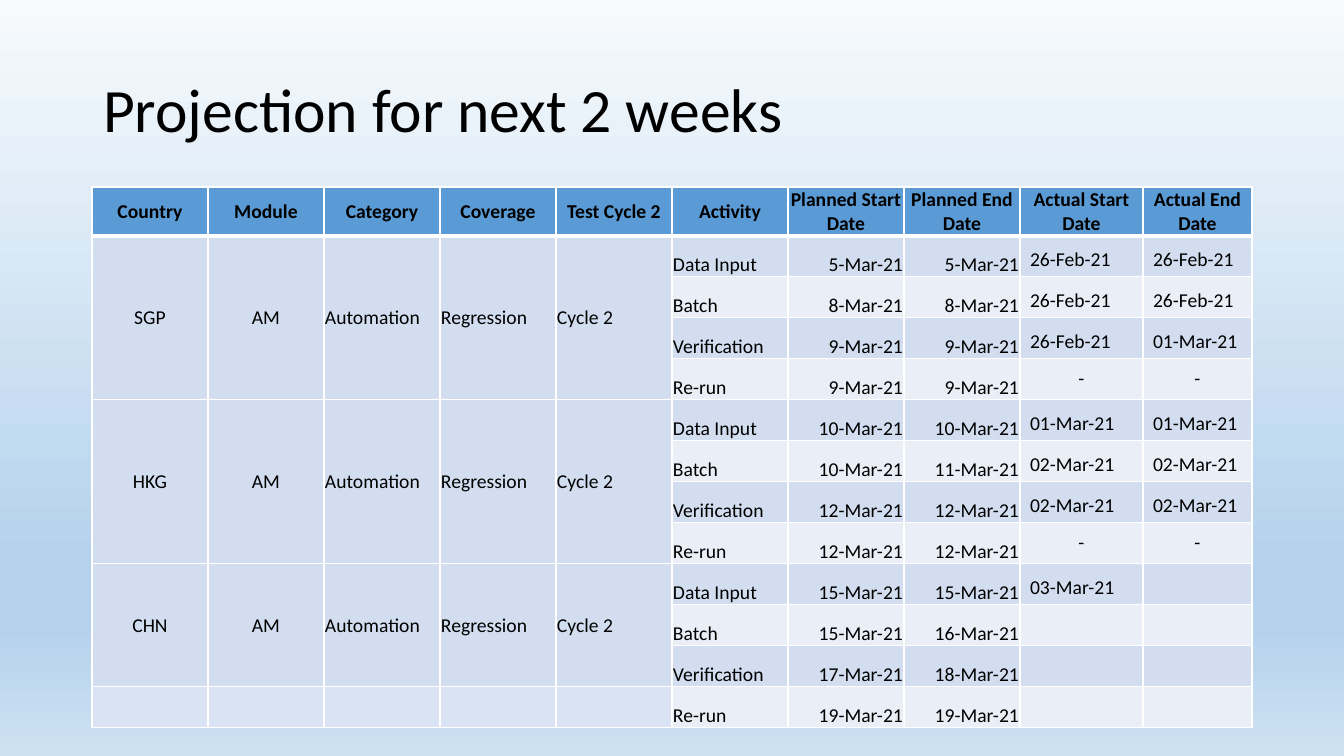
from lxml import etree
from pptx import Presentation
from pptx.dml.color import RGBColor
from pptx.enum.text import MSO_ANCHOR as ANCHOR, PP_ALIGN as ALIGN
from pptx.oxml.ns import qn
from pptx.util import Pt

PX = 9071.43  # EMU per px
BLACK = RGBColor(0x00, 0x00, 0x00)
WHITE = RGBColor(0xFF, 0xFF, 0xFF)
HEADER = RGBColor(0x5B, 0x9B, 0xD5)
BAND_DARK = RGBColor(0xD2, 0xDE, 0xEF)
BAND_LIGHT = RGBColor(0xEA, 0xEF, 0xF7)
LAST_ROW = RGBColor(0xDA, 0xE3, 0xF3)
SKY = [(0, RGBColor(0xF7, 0xFA, 0xFD)), (74, RGBColor(0xB5, 0xD2, 0xEC)),
       (83, RGBColor(0xB5, 0xD2, 0xEC)), (100, RGBColor(0xCE, 0xE1, 0xF2))]

HEADINGS = ["Country", "Module", "Category", "Coverage", "Test Cycle 2", "Activity",
            "Planned Start Date", "Planned End Date", "Actual Start Date", "Actual End Date"]
COUNTRIES = [("SGP", 1, 4), ("HKG", 5, 8), ("CHN", 9, 11)]  # name, first row, last row
ACTIVITIES = ["Data Input", "Batch", "Verification", "Re-run"]
DATES = [
    ("5-Mar-21", "5-Mar-21", "26-Feb-21", "26-Feb-21"),
    ("8-Mar-21", "8-Mar-21", "26-Feb-21", "26-Feb-21"),
    ("9-Mar-21", "9-Mar-21", "26-Feb-21", "01-Mar-21"),
    ("9-Mar-21", "9-Mar-21", "-", "-"),
    ("10-Mar-21", "10-Mar-21", "01-Mar-21", "01-Mar-21"),
    ("10-Mar-21", "11-Mar-21", "02-Mar-21", "02-Mar-21"),
    ("12-Mar-21", "12-Mar-21", "02-Mar-21", "02-Mar-21"),
    ("12-Mar-21", "12-Mar-21", "-", "-"),
    ("15-Mar-21", "15-Mar-21", "03-Mar-21", ""),
    ("15-Mar-21", "16-Mar-21", "", ""),
    ("17-Mar-21", "18-Mar-21", "", ""),
    ("19-Mar-21", "19-Mar-21", "", ""),
]


def px(n):
    return round(n * PX)


def write(cell, text, align=ALIGN.LEFT, anchor=ANCHOR.MIDDLE, bold=False, tight=True):
    cell.vertical_anchor = anchor
    if tight:
        cell.margin_left = cell.margin_right = cell.margin_top = px(1)
        cell.margin_bottom = 0
    p = cell.text_frame.paragraphs[0]
    p.alignment = align
    r = p.add_run()
    r.text = text
    r.font.name = "Calibri"
    r.font.size = Pt(14)
    r.font.bold = bold
    r.font.color.rgb = BLACK


prs = Presentation()
prs.slide_width, prs.slide_height = px(1344), px(756)
s = prs.slides.add_slide(prs.slide_layouts[5])

# Background gradient
fill = s.background.fill
fill.gradient()
fill.gradient_angle = 270
stops = next(s.background._cSld.iter(qn("a:gsLst")))
for gs in list(stops):
    stops.remove(gs)
for pos, color in SKY:
    gs = etree.SubElement(stops, qn("a:gs"), pos=str(pos * 1000))
    etree.SubElement(gs, qn("a:srgbClr"), val=str(color))

# Title
title = s.shapes.title
title.left, title.top, title.width, title.height = px(93), px(40), px(1159), px(146)
tf = title.text_frame
tf.vertical_anchor = ANCHOR.MIDDLE
p = tf.paragraphs[0]
p.alignment = ALIGN.LEFT
p.line_spacing = 0.9
r = p.add_run()
r.text = "Projection for next 2 weeks"
r.font.name = "Calibri"
r.font.size = Pt(44)
r.font.color.rgb = BLACK

# Table grid
widths = [116] * 8 + [123, 109]
heights = [48] + [41] * 12
table = s.shapes.add_table(len(heights), len(widths), px(92), px(187),
                           px(sum(widths)), px(sum(heights))).table
for col, width in zip(table.columns, widths):
    col.width = px(width)
for row, height in zip(table.rows, heights):
    row.height = px(height)

# Fills and white borders
for i, row in enumerate(table.rows):
    for j, cell in enumerate(row.cells):
        if i == 0:
            color = HEADER
        elif j < 5:
            color = LAST_ROW if i == 12 else BAND_DARK
        else:
            color = BAND_DARK if i % 2 else BAND_LIGHT
        cell.fill.solid()
        cell.fill.fore_color.rgb = color
        tcPr = cell._tc.get_or_add_tcPr()
        for n, side in enumerate(["lnL", "lnR", "lnT", "lnB"]):
            thick = (i == 0 and side == "lnB") or (i == 1 and side == "lnT")
            ln = etree.Element(qn("a:" + side), w=str(Pt(3 if thick else 1)))
            solid = etree.SubElement(ln, qn("a:solidFill"))
            etree.SubElement(solid, qn("a:srgbClr"), val=str(WHITE))
            tcPr.insert(n, ln)

# Headings
for j, heading in enumerate(HEADINGS):
    write(table.cell(0, j), heading, align=ALIGN.CENTER, bold=True)

# Merged country blocks
for country, first, last in COUNTRIES:
    for j, text in enumerate([country, "AM", "Automation", "Regression", "Cycle 2"]):
        table.cell(first, j).merge(table.cell(last, j))
        write(table.cell(first, j), text, align=ALIGN.CENTER if j < 2 else ALIGN.LEFT)

# Activities with planned and actual dates
for i, dates in enumerate(DATES, 1):
    write(table.cell(i, 5), ACTIVITIES[(i - 1) % 4], anchor=ANCHOR.BOTTOM)
    for j, date in enumerate(dates, 6):
        if j < 8:
            write(table.cell(i, j), date, align=ALIGN.RIGHT, anchor=ANCHOR.BOTTOM)
        elif date == "-":
            write(table.cell(i, j), date, align=ALIGN.CENTER, tight=False)
        elif date:
            write(table.cell(i, j), date, anchor=ANCHOR.BOTTOM, tight=False)

prs.save("out.pptx")
